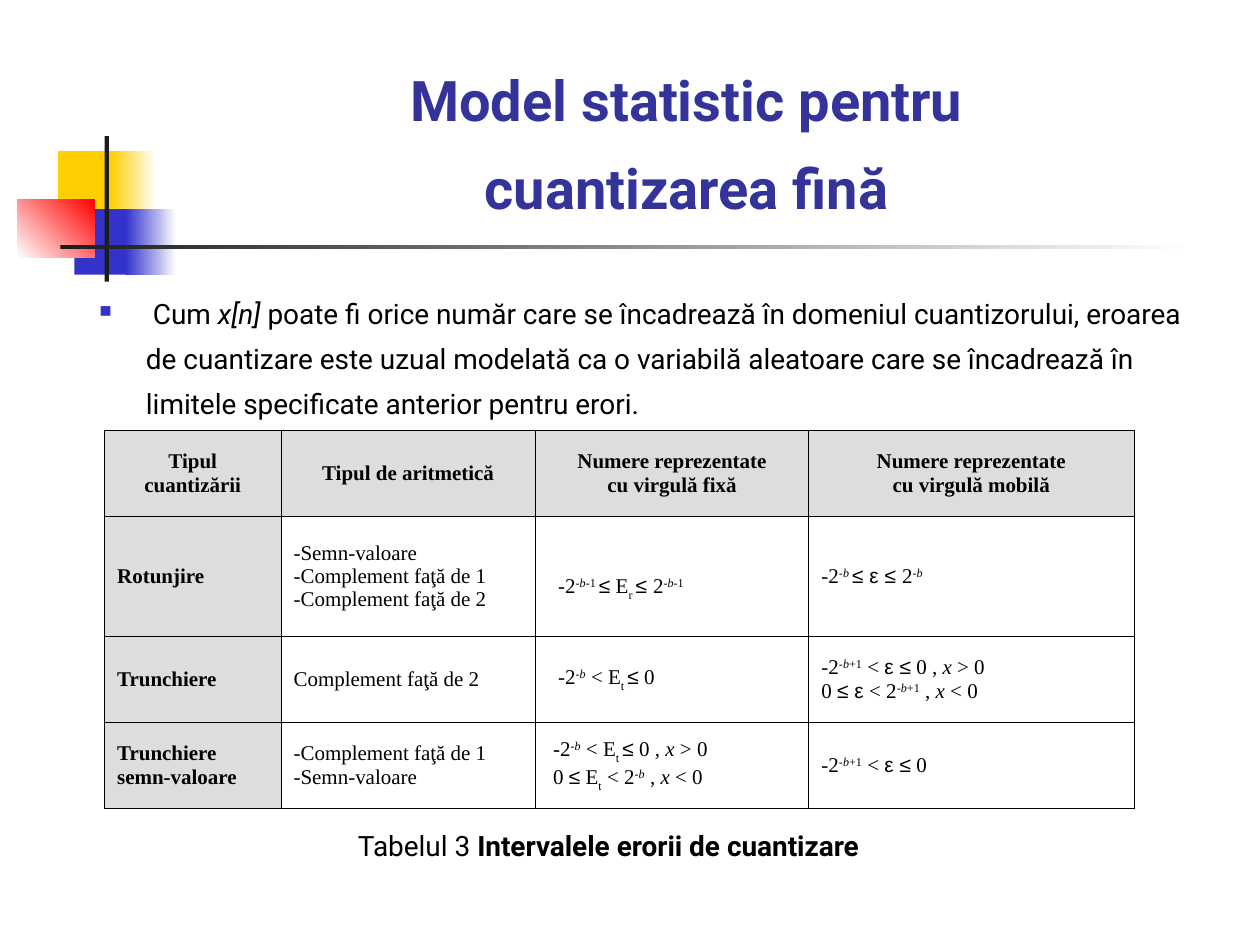
"""Build the slide on the statistical model for fine quantization."""
from lxml.etree import SubElement
from pptx import Presentation
from pptx.dml.color import RGBColor
from pptx.enum.shapes import MSO_SHAPE
from pptx.enum.text import MSO_ANCHOR, PP_ALIGN
from pptx.oxml.ns import qn
from pptx.util import Inches, Pt

BLACK = RGBColor(0x00, 0x00, 0x00)
WHITE = RGBColor(0xFF, 0xFF, 0xFF)
CHARCOAL = RGBColor(0x1C, 0x1C, 0x1C)
YELLOW = RGBColor(0xFF, 0xCF, 0x01)
BLUE = RGBColor(0x33, 0x33, 0xCC)
RED = RGBColor(0xFF, 0x00, 0x00)
INDIGO = RGBColor(0x33, 0x33, 0x99)
GREY = RGBColor(0xDD, 0xDD, 0xDD)
BASELINES = {"^": "30000", "_": "-30000"}

deck = Presentation()
deck.slide_width, deck.slide_height = Inches(10), Inches(7.5)
page = deck.slides.add_slide(deck.slide_layouts[6])


def place(left, top, width, height):
    """Turn percentages of the slide into lengths."""
    across, down = deck.slide_width / 100, deck.slide_height / 100
    return [int(left * across), int(top * down), int(width * across), int(height * down)]


def write(para, text, font="Roboto", size=16, color=BLACK, bold=False, align=PP_ALIGN.LEFT):
    """Write runs split by |, marked ^ raised, _ lowered, * italic, # bold, @ Arial."""
    para.alignment = align
    for piece in text.split("|"):
        words = piece.lstrip("^_*#@")
        marks = piece[:len(piece) - len(words)]
        span = para.add_run()
        span.text = words
        span.font.name = "Arial" if "@" in marks else font
        span.font.size = Pt(size)
        span.font.color.rgb = color
        span.font.bold = bold or "#" in marks
        span.font.italic = "*" in marks
        for mark in marks:
            if mark in BASELINES:
                span.font._element.set("baseline", BASELINES[mark])


ornaments = [
    ((4.6, 16, 4.8, 6.93), YELLOW, YELLOW, 0),
    ((8.8, 16, 3.6, 6.93), YELLOW, WHITE, 0),
    ((5.9, 22.13, 4.6, 6.93), BLUE, BLUE, 0),
    ((10, 22.13, 4, 6.93), BLUE, WHITE, 0),
    ((1.4, 21.07, 6.1, 6.2), WHITE, RED, 45),
    ((8.3, 14.4, 0.35, 15.4), CHARCOAL, CHARCOAL, 0),
    ((4.8, 25.9, 90, 0.5), CHARCOAL, WHITE, 0),
]
for area, start, end, angle in ornaments:
    block = page.shapes.add_shape(MSO_SHAPE.RECTANGLE, *place(*area))
    block.shadow.inherit = False
    block.line.fill.background()
    if start == end:
        block.fill.solid()
        block.fill.fore_color.rgb = start
    else:
        block.fill.gradient()
        block.fill.gradient_angle = angle
        for stop, color, position in zip(block.fill.gradient_stops, (start, end), (0, 1)):
            stop.color.rgb = color
            stop.position = position

title = page.shapes.add_textbox(*place(11.9, 2.67, 85.2, 21.33)).text_frame
title.word_wrap = True
title.vertical_anchor = MSO_ANCHOR.BOTTOM
title_para = title.paragraphs[0]
title_para.line_spacing = Pt(50)
for number, line in enumerate(["Model statistic pentru", "cuantizarea fină"]):
    if number:
        title_para.add_line_break()
    write(title_para, line, size=32, color=INDIGO, bold=True, align=PP_ALIGN.CENTER)

body = page.shapes.add_textbox(*place(5.9, 29.47, 90.8, 16)).text_frame
body.word_wrap = True
bullet_para = body.paragraphs[0]
bullet_para.line_spacing = 1.35
bullet_format = bullet_para._p.get_or_add_pPr()
bullet_format.set("marL", str(Inches(0.47)))
bullet_format.set("indent", str(-Inches(0.37)))
bullet_color = SubElement(bullet_format, qn("a:buClr"))
SubElement(bullet_color, qn("a:srgbClr"), val=str(BLUE))
SubElement(bullet_format, qn("a:buSzPct"), val="60000")
SubElement(bullet_format, qn("a:buChar"), char="■")
write(bullet_para, " Cum |*x[n]| poate fi orice număr care se încadrează în domeniul "
      "cuantizorului, eroarea de cuantizare este uzual modelată ca o variabilă aleatoare "
      "care se încadrează în limitele specificate anterior pentru erori.")

caption = page.shapes.add_textbox(*place(24.75, 86.75, 47.1, 5.33)).text_frame
caption.word_wrap = False
caption.vertical_anchor = MSO_ANCHOR.MIDDLE
write(caption.paragraphs[0], "Tabelul 3|# Intervalele erorii de cuantizare", align=PP_ALIGN.CENTER)

column_shares = [14, 20.2, 21.7, 25.8]
row_shares = [9.1, 12.7, 9.1, 9.1]
rows = [
    ["Tipul\ncuantizării", "Tipul de aritmetică",
     "Numere reprezentate\ncu virgulă fixă", "Numere reprezentate\ncu virgulă mobilă"],
    ["Rotunjire", "-Semn-valoare\n-Complement faţă de 1\n-Complement faţă de 2",
     "-2|^-|^*b|^-1 |@≤| E|_r |@*≤ |2|^*-b|^-1", "-2|^-|^*b |@≤ ε |@*≤ |2|^*-b"],
    ["Trunchiere", "Complement faţă de 2", "-2|^-|^*b| < E|_t |@≤| 0",
     "-2|^-|^*b|^+1| < |@ε ≤| 0 , |*x| > 0\n0 |@≤ ε| < 2|^-|^*b|^+1| , |*x| < 0"],
    ["Trunchiere\nsemn-valoare", "-Complement faţă de 1\n-Semn-valoare",
     "-2|^-|^*b| < E|_t |@≤| 0 , |*x| > 0\n0 |@≤| E|_t| < 2|^-|^*b| , |*x| < 0",
     "-2|^-|^*b|^+1| < |@ε ≤| 0"],
]
formula_indents = {(1, 2): 0.08, (2, 2): 0.08, (3, 2): 0.04}

grid = page.shapes.add_table(
    len(rows), len(column_shares),
    *place(8.3, 45.55, sum(column_shares), sum(row_shares))).table
for column, share in zip(grid.columns, column_shares):
    column.width = int(deck.slide_width * share / 100)
for row, share in zip(grid.rows, row_shares):
    row.height = int(deck.slide_height * share / 100)

for r, texts in enumerate(rows):
    for c, text in enumerate(texts):
        cell = grid.cell(r, c)
        heading = r == 0 or c == 0
        cell.vertical_anchor = MSO_ANCHOR.MIDDLE
        cell_format = cell._tc.get_or_add_tcPr()
        for side in ("a:lnL", "a:lnR", "a:lnT", "a:lnB"):
            border = SubElement(cell_format, qn(side), w=str(Pt(0.45)))
            border_fill = SubElement(border, qn("a:solidFill"))
            SubElement(border_fill, qn("a:srgbClr"), val=str(BLACK))
        cell.fill.solid()
        cell.fill.fore_color.rgb = GREY if heading else WHITE
        for number, line in enumerate(text.split("\n")):
            para = cell.text_frame.paragraphs[0] if number == 0 else cell.text_frame.add_paragraph()
            if (r, c) in formula_indents:
                para._p.get_or_add_pPr().set("marL", str(Inches(formula_indents[r, c])))
            write(para, line, font="Times New Roman", size=12, bold=heading,
                  align=PP_ALIGN.CENTER if r == 0 else PP_ALIGN.LEFT)
grid.cell(1, 2).margin_top = Inches(0.24)

deck.save("out.pptx")
